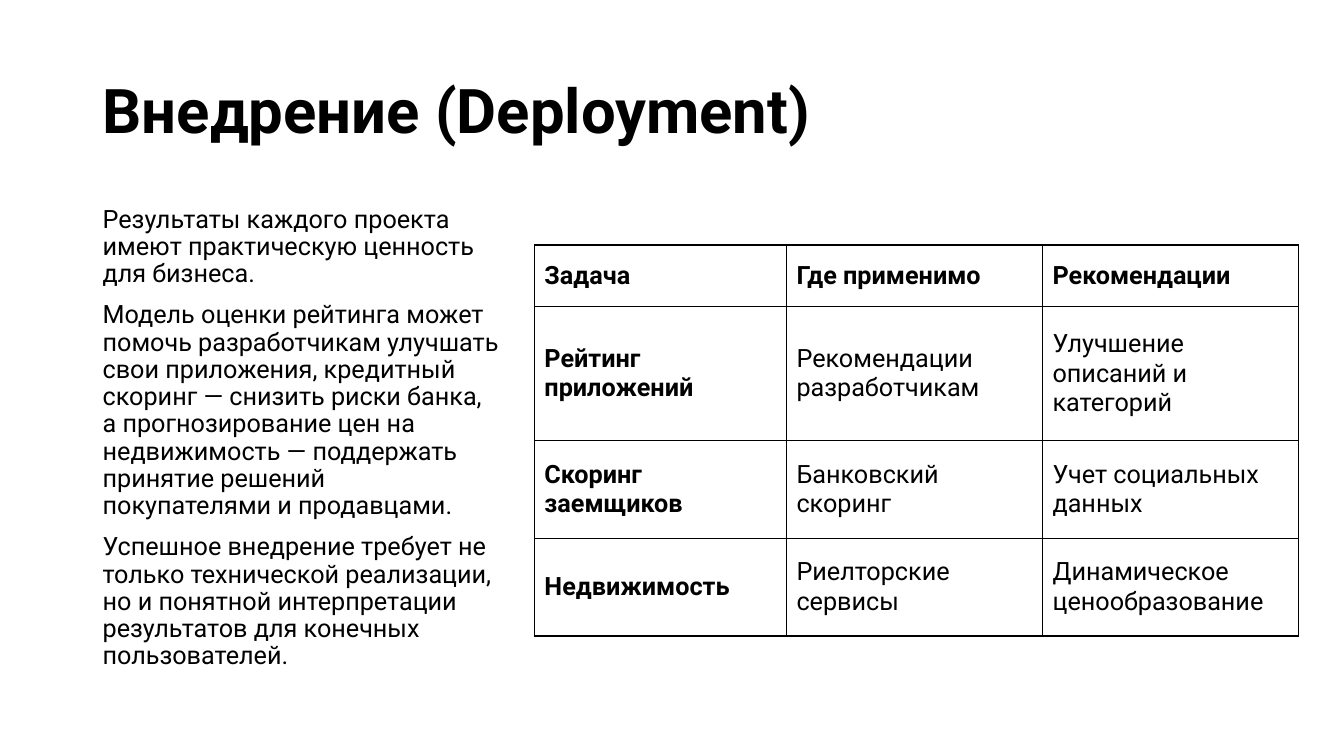
from lxml import etree
from pptx import Presentation
from pptx.dml.color import RGBColor
from pptx.enum.text import MSO_ANCHOR
from pptx.oxml.ns import qn
from pptx.util import Inches, Pt

MIDDLE = MSO_ANCHOR.MIDDLE
TOP = MSO_ANCHOR.TOP

FONT = "Roboto"
COLORS = {"text": "000000", "border": "000000", "background": "FFFFFF"}
BODY_SIZE = 18
TITLE_SIZE = 44
BORDER_WIDTH = Pt(1)

TITLE = ["Внедрение (Deployment)"]
BODY = [
    "Результаты каждого проекта имеют практическую ценность для бизнеса.",
    "Модель оценки рейтинга может помочь разработчикам улучшать свои приложения, "
    "кредитный скоринг — снизить риски банка, а прогнозирование цен на "
    "недвижимость — поддержать принятие решений покупателями и продавцами.",
    "Успешное внедрение требует не только технической реализации, но и понятной "
    "интерпретации результатов для конечных пользователей.",
]
TABLE = [
    ("Задача", "Где применимо", "Рекомендации"),
    ("Рейтинг приложений", "Рекомендации разработчикам", "Улучшение описаний и категорий"),
    ("Скоринг заемщиков", "Банковский скоринг", "Учет социальных данных"),
    ("Недвижимость", "Риелторские сервисы", "Динамическое ценообразование"),
]
COLUMN_WIDTHS = (2.5, 2.54, 2.54)
ROW_HEIGHTS = (0.61, 1.33, 0.97, 0.97)


def style_paragraph(paragraph, size, bold):
    paragraph.font.name = FONT
    paragraph.font.size = Pt(size)
    paragraph.font.bold = bold
    paragraph.font.color.rgb = RGBColor.from_string(COLORS["text"])


def add_text(slide, box, texts, size, bold, anchor, space_before):
    shape = slide.shapes.add_textbox(*map(Inches, box))
    frame = shape.text_frame
    frame.word_wrap = True
    frame.vertical_anchor = anchor
    frame.text = "\n".join(texts)
    for paragraph in frame.paragraphs:
        paragraph.line_spacing = 0.9
        paragraph.space_before = Pt(space_before)
        style_paragraph(paragraph, size, bold)


def add_borders(cell):
    properties = cell._tc.get_or_add_tcPr()
    for index, side in enumerate(("a:lnL", "a:lnR", "a:lnT", "a:lnB")):
        line = etree.Element(qn(side), w=str(BORDER_WIDTH))
        fill = etree.SubElement(line, qn("a:solidFill"))
        etree.SubElement(fill, qn("a:srgbClr"), val=COLORS["border"])
        properties.insert(index, line)


def add_task_table(slide):
    frame = slide.shapes.add_table(
        len(TABLE), len(COLUMN_WIDTHS), Inches(5.3), Inches(2.43),
        Inches(sum(COLUMN_WIDTHS)), Inches(sum(ROW_HEIGHTS)))
    table = frame.table
    table.horz_banding = False
    for column, width in zip(table.columns, COLUMN_WIDTHS):
        column.width = Inches(width)
    for row, height in zip(table.rows, ROW_HEIGHTS):
        row.height = Inches(height)
    for row_index, texts in enumerate(TABLE):
        for column_index, text in enumerate(texts):
            cell = table.cell(row_index, column_index)
            cell.text = text
            cell.vertical_anchor = MIDDLE
            cell.margin_left = cell.margin_right = Inches(0.1)
            cell.margin_top = cell.margin_bottom = Inches(0.1)
            cell.fill.background()
            is_heading = row_index == 0 or column_index == 0
            style_paragraph(cell.text_frame.paragraphs[0], BODY_SIZE, is_heading)
            add_borders(cell)


def main():
    presentation = Presentation()
    presentation.slide_width = Inches(13.33)
    presentation.slide_height = Inches(7.5)
    slide = presentation.slides.add_slide(presentation.slide_layouts[6])
    slide.background.fill.solid()
    slide.background.fill.fore_color.rgb = RGBColor.from_string(COLORS["background"])
    add_text(slide, (0.92, 0.4, 11.5, 1.45), TITLE, TITLE_SIZE, True, MIDDLE, 0)
    add_text(slide, (0.92, 2, 4.13, 4.76), BODY, BODY_SIZE, False, TOP, 10)
    add_task_table(slide)
    presentation.save("out.pptx")


if __name__ == "__main__":
    main()
